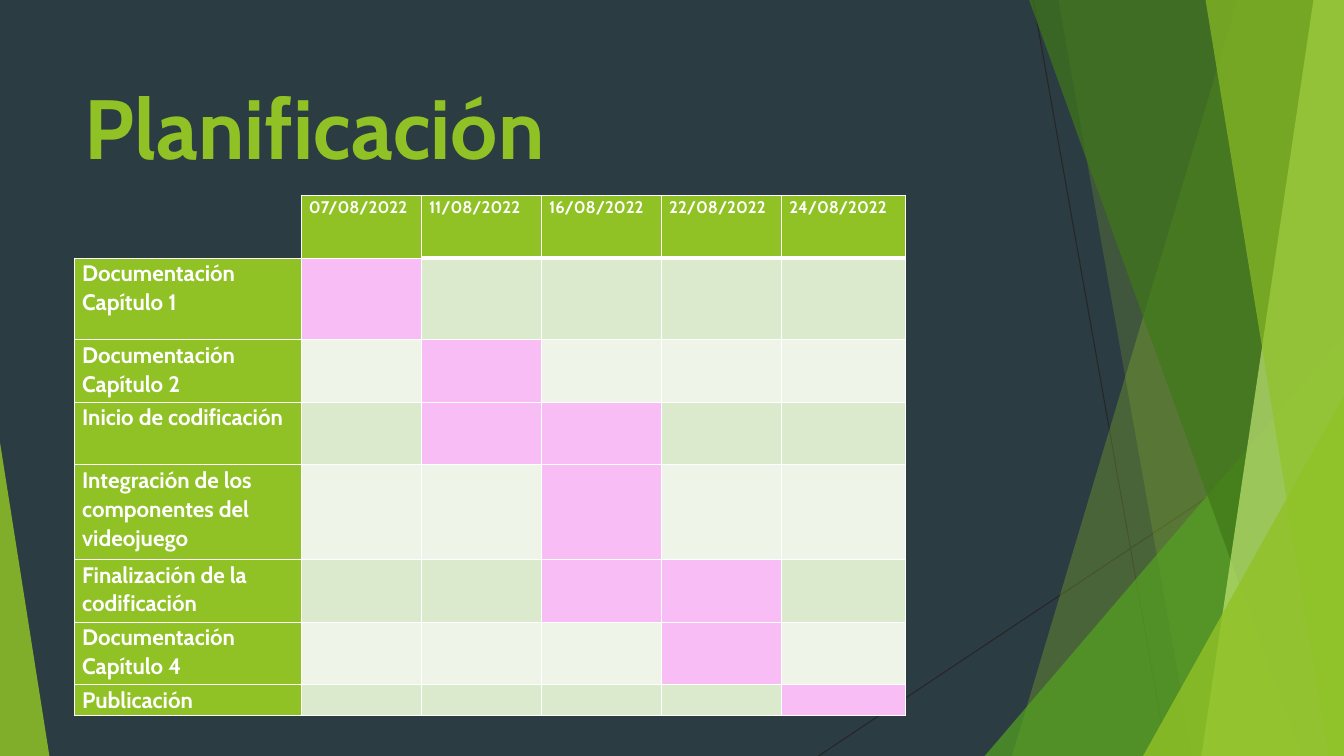
from dataclasses import dataclass

from lxml.etree import SubElement
from pptx import Presentation
from pptx.dml.color import RGBColor
from pptx.enum.shapes import MSO_CONNECTOR, MSO_SHAPE
from pptx.enum.text import MSO_ANCHOR, PP_ALIGN
from pptx.oxml.ns import qn
from pptx.util import Pt

WIDTH, HEIGHT = 960, 540
FONT = "Cabin"
NIGHT = RGBColor(0x2C, 0x3C, 0x43)
INK = RGBColor(0x26, 0x26, 0x26)
WHITE = RGBColor(0xFF, 0xFF, 0xFF)
LIME = RGBColor(0x90, 0xC2, 0x26)
LEAF = RGBColor(0x54, 0xA0, 0x21)
FOREST = RGBColor(0x3F, 0x78, 0x19)
PALE_LIME = RGBColor(0xC0, 0xE4, 0x74)
PINK = RGBColor(0xF9, 0xBD, 0xF5)
STRIPES = (RGBColor(0xDB, 0xE9, 0xCD), RGBColor(0xEE, 0xF4, 0xE8))


@dataclass
class Ray:
    start: tuple[float, float]
    end: tuple[float, float]


@dataclass
class Band:
    """Runs from a slanted left edge to the right side of the slide."""
    top_x: float
    bottom_x: float
    color: RGBColor
    opacity: int


@dataclass
class Corner:
    """Right triangle standing on the bottom of the slide."""
    left: float
    top: float
    width: float
    apex: float
    color: RGBColor
    opacity: int


@dataclass
class Task:
    label: str
    height: float
    active: tuple[int, ...]


DECORATION = [
    Ray((738, 0), (833.8, HEIGHT)),
    Ray((WIDTH, 290.2), (584.6, HEIGHT)),
    Band(884.2, 722.9, LIME, 30),
    Band(756, 851.8, LIME, 20),
    Corner(703.4, 239.8, 256.6, 1, LEAF, 72),
    Band(735.1, 929.5, FOREST, 70),
    Band(938.2, 858.2, PALE_LIME, 70),
    Band(861.1, 949, LIME, 65),
    Corner(816.5, 283, 143.5, 1, LIME, 80),
    Corner(0, 316.1, 35.3, 0, LIME, 85),
]
DATES = ["07/08/2022", "11/08/2022", "16/08/2022", "22/08/2022", "24/08/2022"]
TASKS = [
    Task("Documentación Capítulo 1", 58.3, (1,)),
    Task("Documentación Capítulo 2", 44.7, (2,)),
    Task("Inicio de codificación", 44.7, (2, 3)),
    Task("Integración de los componentes del videojuego", 67.8, (3,)),
    Task("Finalización de la codificación", 44.7, (3, 4)),
    Task("Documentación Capítulo 4", 44.7, (4,)),
    Task("Publicación", 21.9, (5,)),
]
HEADER_HEIGHT = 44.7
COLUMN_WIDTHS = [162, 85.8, 85.8, 85.8, 85.8, 88.6]


def paint(shape, color: RGBColor, opacity: int) -> None:
    shape.shadow.inherit = False
    shape.line.fill.background()
    shape.fill.solid()
    shape.fill.fore_color.rgb = color
    tint = shape.fill._xPr.find(qn("a:solidFill"))[0]
    SubElement(tint, qn("a:alpha"), val=str(opacity * 1000))


def draw_ray(shapes, ray: Ray) -> None:
    ends = [Pt(value) for value in (*ray.start, *ray.end)]
    line = shapes.add_connector(MSO_CONNECTOR.STRAIGHT, *ends)
    line.line.color.rgb = INK
    line.line.width = Pt(0.75)
    SubElement(line._element.spPr, qn("a:effectLst"))


def draw_band(shapes, band: Band) -> None:
    outline = shapes.build_freeform(Pt(band.top_x), 0)
    outline.add_line_segments([(Pt(WIDTH), 0), (Pt(WIDTH), Pt(HEIGHT)),
                               (Pt(band.bottom_x), Pt(HEIGHT))])
    paint(outline.convert_to_shape(), band.color, band.opacity)


def draw_corner(shapes, corner: Corner) -> None:
    triangle = shapes.add_shape(
        MSO_SHAPE.ISOSCELES_TRIANGLE, Pt(corner.left), Pt(corner.top),
        Pt(corner.width), Pt(HEIGHT - corner.top))
    triangle.adjustments[0] = corner.apex
    paint(triangle, corner.color, corner.opacity)


DRAW = {Ray: draw_ray, Band: draw_band, Corner: draw_corner}


def write(paragraph, text: str, size: float, color: RGBColor) -> None:
    run = paragraph.add_run()
    run.text = text
    run.font.name = FONT
    run.font.size = Pt(size)
    run.font.bold = True
    run.font.color.rgb = color


def border(cell, **widths: float) -> None:
    """Adds white edges in schema order; a zero width hides the edge."""
    properties = cell._tc.get_or_add_tcPr()
    for index, side in enumerate("LRTB"):
        width = widths.get(side, 1)
        edge = properties.makeelement(qn(f"a:ln{side}"), {"w": str(Pt(width))})
        properties.insert(index, edge)
        if width:
            fill = SubElement(edge, qn("a:solidFill"))
            SubElement(fill, qn("a:srgbClr"), val=str(WHITE))
        else:
            SubElement(edge, qn("a:noFill"))


def fill_cell(cell, color: RGBColor, text: str = "", size: float = 12) -> None:
    cell.fill.solid()
    cell.fill.fore_color.rgb = color
    cell.margin_left = cell.margin_right = Pt(5.4)
    cell.margin_top = cell.margin_bottom = 0
    paragraph = cell.text_frame.paragraphs[0]
    if text:
        paragraph.line_spacing = 1.07
        paragraph.space_before = Pt(12)
        write(paragraph, text, size, WHITE)
    else:
        SubElement(paragraph._p, qn("a:endParaRPr"), sz=str(size * 100))


def draw_schedule(shapes) -> None:
    heights = [HEADER_HEIGHT, *(task.height for task in TASKS)]
    schedule = shapes.add_table(
        len(heights), len(COLUMN_WIDTHS), Pt(53.3), Pt(139.7),
        Pt(sum(COLUMN_WIDTHS)), Pt(sum(heights))).table
    schedule.first_row = schedule.horz_banding = False
    for column, width in zip(schedule.columns, COLUMN_WIDTHS):
        column.width = Pt(width)
    for row, height in zip(schedule.rows, heights):
        row.height = Pt(height)

    # Dates across the top
    blank = schedule.cell(0, 0)
    blank.fill.background()
    border(blank, L=0, T=0)
    for day, date in enumerate(DATES, 1):
        fill_cell(schedule.cell(0, day), LIME, date)
        border(schedule.cell(0, day), B=1 if day == 1 else 3)

    # One row per task, with its active dates in pink
    for number, task in enumerate(TASKS, 1):
        fill_cell(schedule.cell(number, 0), LIME, task.label, 16)
        border(schedule.cell(number, 0))
        stripe = STRIPES[(number - 1) % 2]
        for day in range(1, len(DATES) + 1):
            fill_cell(schedule.cell(number, day), PINK if day in task.active else stripe)
            border(schedule.cell(number, day), T=3 if number == 1 and day > 1 else 1)


def main() -> None:
    deck = Presentation()
    deck.slide_width, deck.slide_height = Pt(WIDTH), Pt(HEIGHT)
    slide = deck.slides.add_slide(deck.slide_layouts[5])
    slide.background.fill.solid()
    slide.background.fill.fore_color.rgb = NIGHT

    # Side decoration
    for part in DECORATION:
        DRAW[type(part)](slide.shapes, part)

    # Title
    heading = slide.shapes.title
    heading.left, heading.top = Pt(53.3), Pt(48.2)
    heading.width, heading.height = Pt(676.8), Pt(83.5)
    heading.text_frame.vertical_anchor = MSO_ANCHOR.MIDDLE
    heading.text_frame.paragraphs[0].alignment = PP_ALIGN.LEFT
    write(heading.text_frame.paragraphs[0], "Planificación", 60, LIME)

    # Schedule
    draw_schedule(slide.shapes)
    deck.save("out.pptx")


if __name__ == "__main__":
    main()
